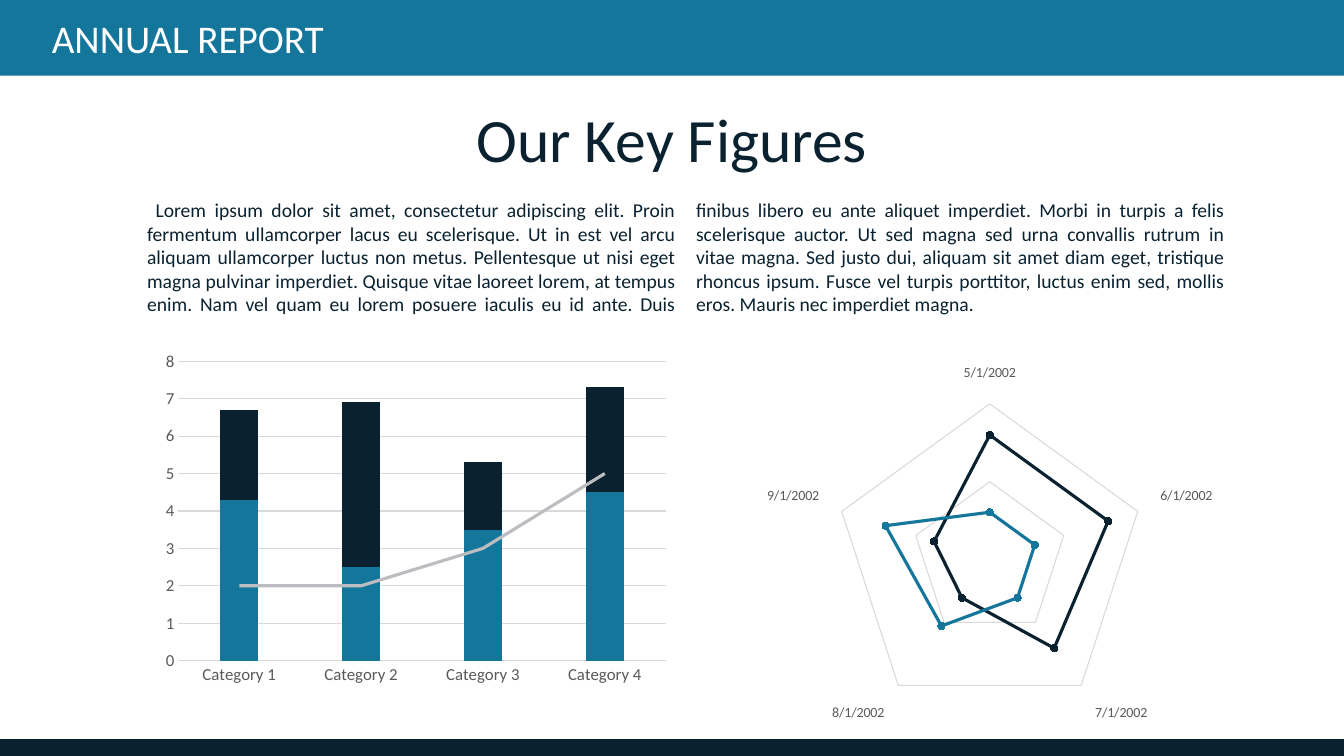
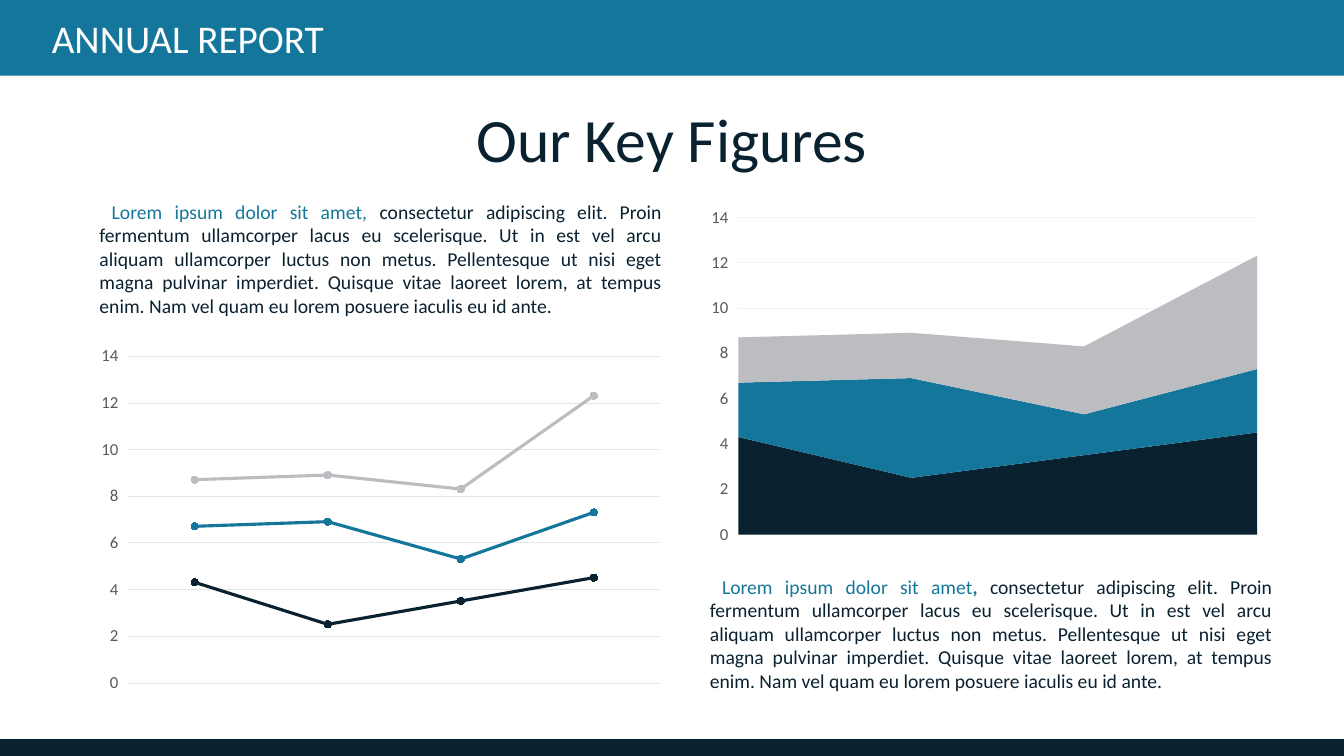
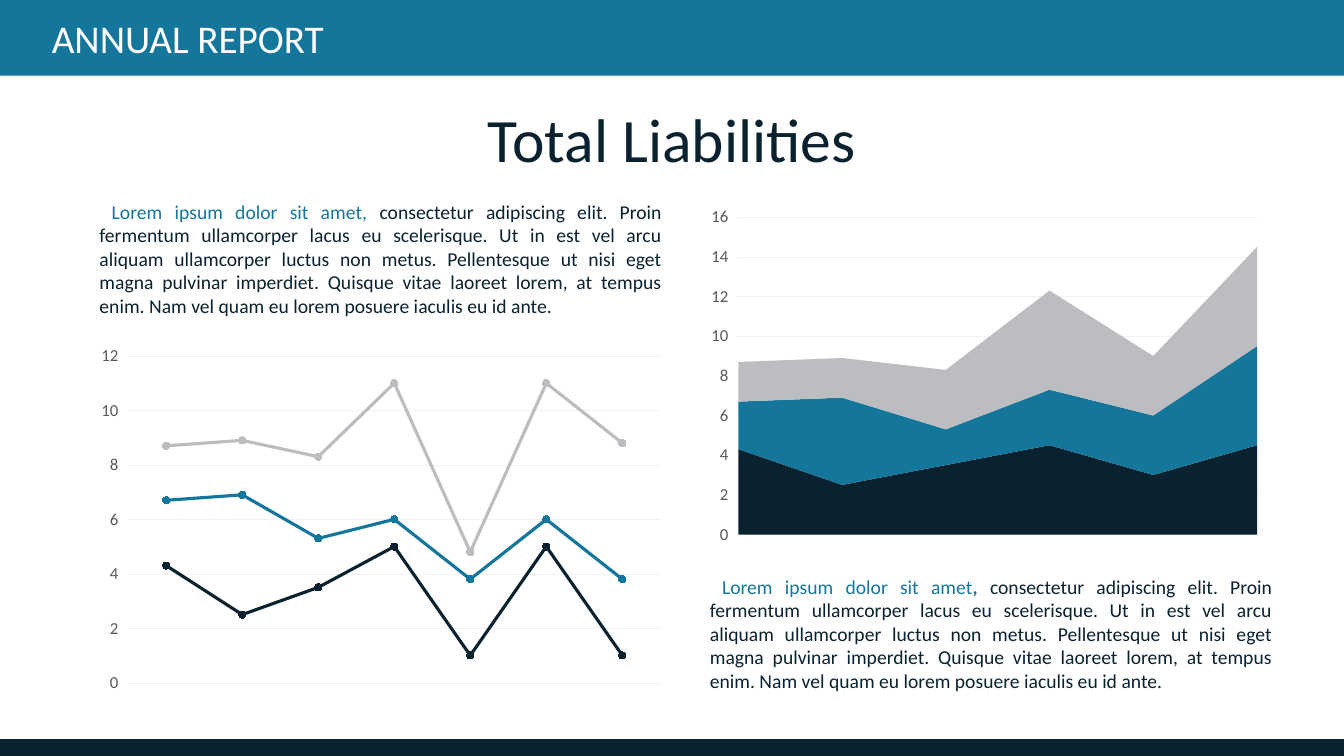
from copy import deepcopy

from pptx import Presentation
from pptx.chart.data import CategoryChartData
from pptx.chart.series import LineSeries, RadarSeries
from pptx.dml.color import RGBColor
from pptx.enum.chart import XL_CHART_TYPE, XL_MARKER_STYLE, XL_TICK_MARK
from pptx.enum.shapes import MSO_SHAPE
from pptx.enum.text import MSO_ANCHOR, MSO_AUTO_SIZE, PP_ALIGN
from pptx.oxml import parse_xml
from pptx.oxml.ns import nsdecls
from pptx.util import Pt

FONT = "Calibri"
NAVY = RGBColor(0x0A, 0x21, 0x2F)
TEAL = RGBColor(0x14, 0x76, 0x9A)
SILVER = RGBColor(0xBC, 0xBD, 0xC1)
WHITE = RGBColor(0xFF, 0xFF, 0xFF)
BLACK = RGBColor(0x00, 0x00, 0x00)
LABEL_GRAY = RGBColor(0x59, 0x59, 0x59)
RULE_GRAY = RGBColor(0xD9, 0xD9, 0xD9)
SOFT_RULE = RGBColor(0xE4, 0xE5, 0xE6)
PALE_RULE = RGBColor(0xF2, 0xF2, 0xF2)

SLIDE_WIDTH, SLIDE_HEIGHT = 960, 540
TOP_BAND, BOTTOM_BAND = 54, 12
LEFT_COLUMN, RIGHT_COLUMN, COLUMN_WIDTH = 64, 500, 416

LEAD = " Lorem ipsum dolor sit amet"
BODY = (
    "consectetur adipiscing elit. Proin fermentum ullamcorper lacus eu scelerisque. "
    "Ut in est vel arcu aliquam ullamcorper luctus non metus. Pellentesque ut nisi eget "
    "magna pulvinar imperdiet. Quisque vitae laoreet lorem, at tempus enim. "
    "Nam vel quam eu lorem posuere iaculis eu id ante."
)
MORE = (
    " Duis finibus libero eu ante aliquet imperdiet. Morbi in turpis a felis scelerisque "
    "auctor. Ut sed magna sed urna convallis rutrum in vitae magna. Sed justo dui, aliquam "
    "sit amet diam eget, tristique rhoncus ipsum. Fusce vel turpis porttitor, luctus enim "
    "sed, mollis eros. Mauris nec imperdiet magna."
)

FOUR_PERIODS = ([4.3, 2.5, 3.5, 4.5], [2.4, 4.4, 1.8, 2.8], [2, 2, 3, 5])
SIX_PERIODS = ([4.3, 2.5, 3.5, 4.5, 3, 4.5], [2.4, 4.4, 1.8, 2.8, 3, 5], [2, 2, 3, 5, 3, 5])
SEVEN_PERIODS = (
    [4.3, 2.5, 3.5, 5, 1, 5, 1],
    [2.4, 4.4, 1.8, 1, 2.8, 1, 2.8],
    [2, 2, 3, 5, 1, 5, 5],
)


def points(box):
    return [Pt(length) for length in box]


def add_run(paragraph, text, size=14, color=NAVY, bold=False):
    run = paragraph.add_run()
    run.text = text
    run.font.name = FONT
    run.font.size = Pt(size)
    run.font.color.rgb = color
    run.font.bold = bold


def add_text(slide, text, box, align=PP_ALIGN.LEFT, columns=1, **run_format):
    frame = slide.shapes.add_textbox(*points(box)).text_frame
    frame.word_wrap = True
    frame.auto_size = MSO_AUTO_SIZE.SHAPE_TO_FIT_TEXT
    if columns > 1:
        properties = frame._txBody.bodyPr
        properties.set("numCol", str(columns))
        properties.set("spcCol", str(Pt(14.4)))
    paragraph = frame.paragraphs[0]
    paragraph.alignment = align
    if text:
        add_run(paragraph, text, **run_format)
    return paragraph


def add_lead_text(slide, left, top, bold_comma=False):
    box = (left, top, COLUMN_WIDTH, 92)
    paragraph = add_text(slide, "", box, align=PP_ALIGN.JUSTIFY)
    if bold_comma:
        add_run(paragraph, LEAD, color=TEAL)
        add_run(paragraph, ", ", color=TEAL, bold=True)
    else:
        add_run(paragraph, LEAD + ", ", color=TEAL)
    add_run(paragraph, BODY)


def add_band(slide, top, height, color):
    band = slide.shapes.add_shape(MSO_SHAPE.RECTANGLE, *points((0, top, SLIDE_WIDTH, height)))
    band.shadow.inherit = False
    band.fill.solid()
    band.fill.fore_color.rgb = color
    band.line.fill.background()


def add_report_slide(presentation, heading):
    slide = presentation.slides.add_slide(presentation.slide_layouts[5])
    add_band(slide, SLIDE_HEIGHT - BOTTOM_BAND, BOTTOM_BAND, NAVY)
    add_band(slide, 0, TOP_BAND, TEAL)
    add_text(slide, "ANNUAL REPORT", (30, 6.5, 246, 41), size=28, color=WHITE)
    title = slide.shapes.title
    title.left, title.top, title.width, title.height = points((180, 68.5, 600, 60.5))
    frame = title.text_frame
    frame.word_wrap = True
    frame.auto_size = MSO_AUTO_SIZE.NONE
    frame.vertical_anchor = MSO_ANCHOR.TOP
    frame.paragraphs[0].alignment = PP_ALIGN.CENTER
    add_run(frame.paragraphs[0], heading, size=44)
    return slide


def style_line(line, color, width):
    line.color.rgb = color
    line.width = Pt(width)


def style_font(font, size, color):
    font.name = FONT
    font.size = Pt(size)
    font.color.rgb = color


def style_series(chart, colors, marker_style):
    for plot in chart.plots:
        plot.vary_by_categories = False
    for series, color in zip(chart.series, colors):
        if not isinstance(series, (LineSeries, RadarSeries)):
            series.format.fill.solid()
            series.format.fill.fore_color.rgb = color
            continue
        style_line(series.format.line, color, 2.25)
        series.marker.style = marker_style
        if marker_style != XL_MARKER_STYLE.NONE:
            series.marker.size = 5
            series.marker.format.fill.solid()
            series.marker.format.fill.fore_color.rgb = color
            style_line(series.marker.format.line, color, 0.75)
        if isinstance(series, LineSeries):
            series.smooth = False


def style_value_axis(axis, maximum, unit, grid_color, grid_width, tick):
    axis.minimum_scale = 0
    axis.maximum_scale = maximum
    axis.major_unit = unit
    axis.major_tick_mark = tick
    axis.minor_tick_mark = XL_TICK_MARK.NONE
    axis.format.line.fill.background()
    axis.has_major_gridlines = True
    style_line(axis.major_gridlines.format.line, grid_color, grid_width)
    style_font(axis.tick_labels.font, 12, LABEL_GRAY)


def style_category_axis(axis, label_size):
    axis.has_major_gridlines = False
    axis.major_tick_mark = XL_TICK_MARK.NONE
    axis.minor_tick_mark = XL_TICK_MARK.NONE
    style_line(axis.format.line, RULE_GRAY, 0.75)
    style_font(axis.tick_labels.font, label_size, LABEL_GRAY)


def move_last_series_to_line(chart):
    bars = chart.element.xpath(".//c:barChart")[0]
    series = bars.xpath("c:ser")[-1]
    for flag in series.xpath("c:invertIfNegative"):
        series.remove(flag)
    line_plot = parse_xml(
        f'<c:lineChart {nsdecls("c")}><c:grouping val="standard"/>'
        '<c:varyColors val="0"/></c:lineChart>'
    )
    line_plot.append(series)
    line_plot.append(parse_xml(f'<c:marker {nsdecls("c")} val="1"/>'))
    for axis_id in bars.xpath("c:axId"):
        line_plot.append(deepcopy(axis_id))
    bars.addnext(line_plot)


def add_chart(slide, kind, box, categories, values, colors, maximum, unit,
              grid_color=RULE_GRAY, grid_width=0.75, tick=XL_TICK_MARK.NONE,
              label_size=12, line_overlay=False):
    data = CategoryChartData()
    data.categories = categories
    for number, series_values in enumerate(values, 1):
        data.add_series(f"Series {number}", series_values)
    chart = slide.shapes.add_chart(kind, *points(box), data).chart
    chart.has_title = False
    chart.has_legend = False
    style_font(chart.font, 10, BLACK)
    if line_overlay:
        move_last_series_to_line(chart)
    marker_style = XL_MARKER_STYLE.NONE if line_overlay else XL_MARKER_STYLE.CIRCLE
    style_series(chart, colors, marker_style)
    style_value_axis(chart.value_axis, maximum, unit, grid_color, grid_width, tick)
    style_category_axis(chart.category_axis, label_size)
    return chart


def add_trend_chart(slide, kind, box, values, maximum, grid_color=PALE_RULE):
    categories = [str(number) for number in range(1, len(values[0]) + 1)]
    chart = add_chart(slide, kind, box, categories, values, (NAVY, TEAL, SILVER), maximum, 2,
                      grid_color=grid_color, grid_width=0.25, tick=XL_TICK_MARK.OUTSIDE)
    chart.category_axis.visible = False
    if kind == XL_CHART_TYPE.AREA_STACKED:
        for crossing in chart.element.xpath(".//c:crossBetween"):
            crossing.set("val", "midCat")


def add_overview_slide(presentation):
    slide = add_report_slide(presentation, "Our Key Figures")
    add_text(slide, f"{LEAD}, {BODY}{MORE}", (98, 138, 784, 92),
             align=PP_ALIGN.JUSTIFY, columns=2)
    columns = add_chart(
        slide, XL_CHART_TYPE.COLUMN_STACKED, (111, 246, 372, 248),
        [f"Category {number}" for number in range(1, 5)], FOUR_PERIODS,
        (TEAL, NAVY, SILVER), 8, 1, line_overlay=True)
    columns.plots[0].gap_width = 219
    columns.plots[0].overlap = 100
    radar = add_chart(
        slide, XL_CHART_TYPE.RADAR_MARKERS, (515.5, 255, 383, 265),
        [f"{month}/1/2002" for month in range(5, 10)],
        ([100, 100, 88, 38, 47], [38, 38, 38, 66, 88]),
        (NAVY, TEAL), 125, 62.5, label_size=10)
    radar.value_axis.visible = False


def add_trend_slide(presentation, heading, line_values, line_maximum, line_grid,
                    area_values, area_maximum):
    slide = add_report_slide(presentation, heading)
    add_lead_text(slide, RIGHT_COLUMN, 407, bold_comma=True)
    add_lead_text(slide, LEFT_COLUMN, 139)
    add_trend_chart(slide, XL_CHART_TYPE.LINE_MARKERS_STACKED,
                    (LEFT_COLUMN, 242, COLUMN_WIDTH, 258), line_values, line_maximum, line_grid)
    add_trend_chart(slide, XL_CHART_TYPE.AREA_STACKED,
                    (RIGHT_COLUMN, 143, 406, 251), area_values, area_maximum)


def main():
    presentation = Presentation()
    presentation.slide_width = Pt(SLIDE_WIDTH)
    presentation.slide_height = Pt(SLIDE_HEIGHT)
    add_overview_slide(presentation)
    add_trend_slide(presentation, "Our Key Figures", FOUR_PERIODS, 14, SOFT_RULE,
                    FOUR_PERIODS, 14)
    add_trend_slide(presentation, "Total Liabilities", SEVEN_PERIODS, 12, PALE_RULE,
                    SIX_PERIODS, 16)
    presentation.save("out.pptx")


if __name__ == "__main__":
    main()
